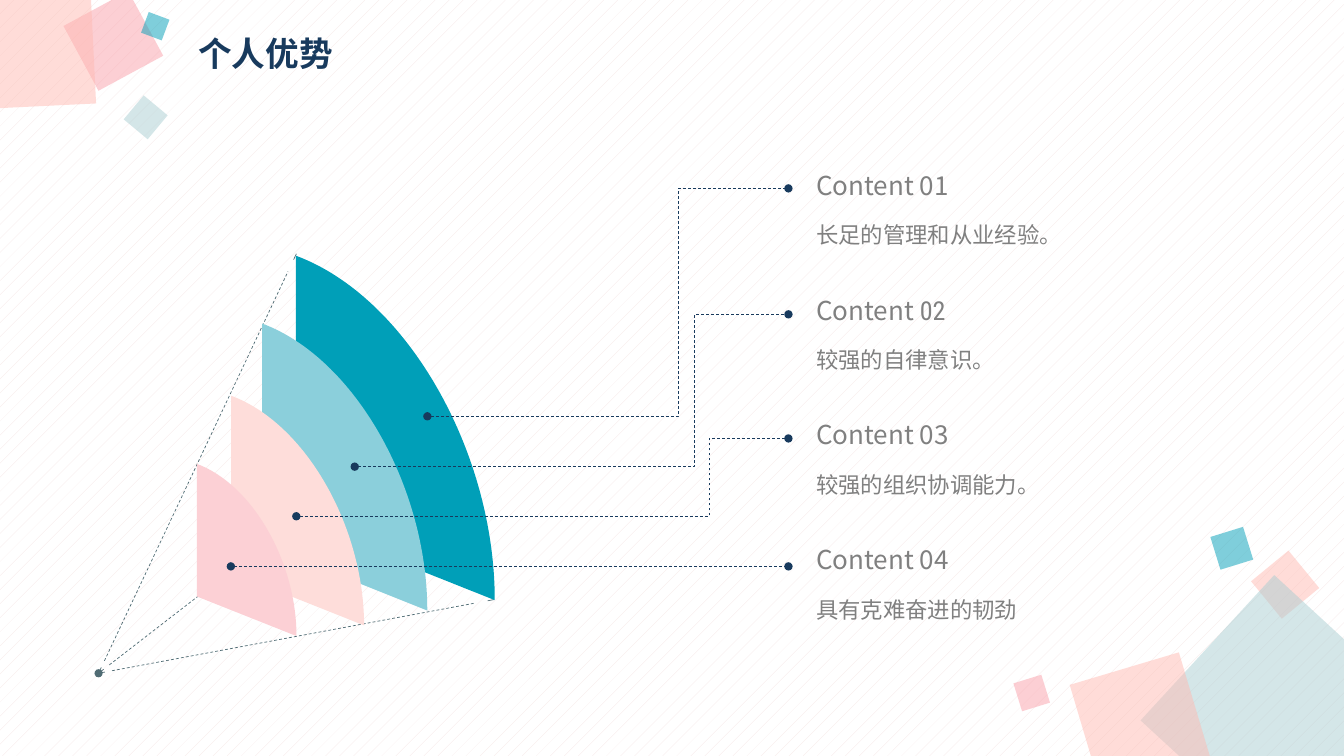
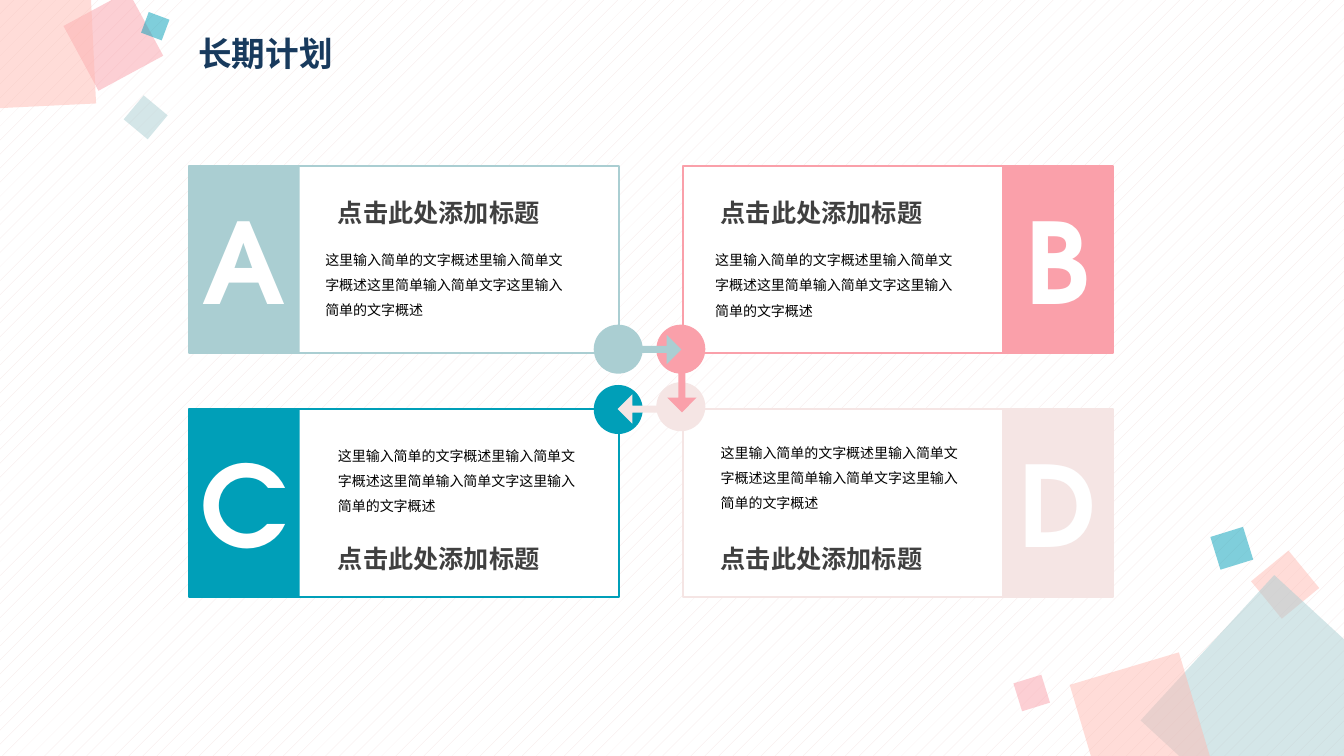
import math

import pptx
import pptx.dml.color
import pptx.enum.dml
import pptx.enum.shapes
import pptx.enum.text
import pptx.oxml.ns
import pptx.util
from lxml import etree

Pt = pptx.util.Pt
SHAPE = pptx.enum.shapes.MSO_SHAPE
CONNECTOR = pptx.enum.shapes.MSO_CONNECTOR
ALIGN = pptx.enum.text.PP_ALIGN
ANCHOR = pptx.enum.text.MSO_ANCHOR
qn = pptx.oxml.ns.qn

SANS = "Noto Sans CJK SC"
CONDENSED = "Roboto Condensed"
DISPLAY = "TeX Gyre Adventor"

WHITE, BLACK, GRAY, DARK_GRAY = "FFFFFF", "000000", "808080", "404040"
NAVY, SLATE = "183A5D", "506C74"
TEAL, MIST, PINK, PEACH, BLUSH = "009FB8", "AACED2", "FAA0AA", "FFBBB3", "F5E5E4"

# left, top, side, rotation, colour
CORNER_SQUARES = [
    (900.7, 400.3, 34.6, 320.6, PEACH),
    (843.8, 439.9, 141.1, 42.6, MIST),
    (774, 475.9, 81.4, 343.4, PEACH),
    (726.5, 484.6, 20.9, 342.8, PINK),
    (867.6, 379.4, 24.5, 342.8, TEAL),
    (54.7, 2.9, 52.6, 331.6, PINK),
    (-33.1, -23, 99.4, 357.2, PEACH),
    (92.9, 72.7, 22.3, 309.8, MIST),
    (103, 10.8, 15.8, 290.5, TEAL),
]


def color(value):
    return pptx.dml.color.RGBColor.from_string(value)


def paint(shape, fill, line=None):
    shape.shadow.inherit = False
    shape.fill.solid()
    shape.fill.fore_color.rgb = color(fill)
    if line:
        shape.line.color.rgb = color(line)
        shape.line.width = Pt(1.5)
    else:
        shape.line.fill.background()
    return shape


def add_shape(slide, kind, box, fill, line=None):
    return paint(slide.shapes.add_shape(kind, *map(Pt, box)), fill, line)


def style_run(run, size, ink, font=SANS, bold=False):
    run.font.size = Pt(size)
    run.font.bold = bold
    run.font.color.rgb = color(ink)
    run.font.name = font
    east_asian = etree.Element(qn("a:ea"), typeface=SANS)
    run.font._element.find(qn("a:latin")).addnext(east_asian)


def add_text(slide, box, text, size, ink, font=SANS, bold=False,
             spacing=1.0, anchor=ANCHOR.TOP):
    frame = slide.shapes.add_textbox(*map(Pt, box)).text_frame
    frame.word_wrap = True
    frame.vertical_anchor = anchor
    paragraph = frame.paragraphs[0]
    paragraph.text = text
    paragraph.line_spacing = spacing
    style_run(paragraph.runs[0], size, ink, font, bold)
    return paragraph


def add_line(slide, start, end, ink, dashed, kind=CONNECTOR.STRAIGHT):
    line = slide.shapes.add_connector(kind, *map(Pt, (*start, *end)))
    line.line.color.rgb = color(ink)
    line.line.width = Pt(0.5)
    if dashed:
        line.line.dash_style = pptx.enum.dml.MSO_LINE.DASH
    etree.SubElement(line._element.spPr, qn("a:effectLst"))
    return line


def add_base_slide(presentation, title):
    """Add a slide with the shared background, corner squares and title."""
    slide = presentation.slides.add_slide(presentation.slide_layouts[6])
    background = slide.background.fill
    background.patterned()
    background.pattern = pptx.enum.dml.MSO_PATTERN.PERCENT_5
    background.fore_color.rgb = color(BLUSH)
    background.back_color.rgb = color(WHITE)
    for left, top, side, rotation, fill in CORNER_SQUARES:
        square = add_shape(slide, SHAPE.RECTANGLE, (left, top, side, side), fill)
        square.rotation = rotation
        fill_color = square._element.spPr.find(".//" + qn("a:srgbClr"))
        etree.SubElement(fill_color, qn("a:alpha"), val="50000")
    add_text(slide, (134.6, 18.7, 441.4, 41.8), title, 24, NAVY, bold=True,
             spacing=0.9, anchor=ANCHOR.MIDDLE)
    return slide


def add_guide(slide, start, end):
    """Draw a dashed line with a short solid tick at each end."""
    length = math.dist(start, end)

    def point(distance):
        return [a + (b - a) * distance / length for a, b in zip(start, end)]

    for first, last, dashed in ((length - 4.6, length, False),
                                (9.8, length - 14, True),
                                (0, 4.6, False)):
        add_line(slide, point(first), point(last), SLATE, dashed)


def add_blade(slide, box, fill):
    """Draw a fan blade: straight left edge and base, curved outer edge."""
    left, top, width, height = box
    tip, corner, peak = (1, 1), (0, 0.77), (0, 0)
    outline = [tip, corner, peak, (0.56, 0.12), (1, 0.57), tip]
    points = [(Pt(left + x * width), Pt(top + y * height)) for x, y in outline]
    builder = slide.shapes.build_freeform(*points[0])
    builder.add_line_segments(points[1:], close=False)
    blade = paint(builder.convert_to_shape(), fill)
    edges = list(blade._element.spPr.iter(qn("a:lnTo")))[-3:]
    curve = etree.SubElement(edges[0].getparent(), qn("a:cubicBezTo"))
    for edge in edges:
        curve.append(edge[0])
        edge.getparent().remove(edge)


def add_fan(slide, apex):
    x, y = apex
    for dx, dy in ((282.4, -52.6), (141.3, -299.6), (140.6, -108.8)):
        add_guide(slide, apex, (x + dx, y + dy))
    for dx, dy, width, height, fill in (
            (141, -298.2, 142, 246, TEAL),
            (116.8, -249.8, 118, 205, "8BCFDB"),
            (94.7, -198.2, 95, 164, "FEDDDA"),
            (70.2, -149.6, 71.2, 123, "FCD0D5")):
        add_blade(slide, (x + dx, y + dy, width, height), fill)
    add_shape(slide, SHAPE.OVAL, (x - 2.9, y - 2.9, 5.8, 5.8), SLATE)


def add_leader(slide, start, end, bend):
    """Join a blade to its entry; bend is the percentage of the width before the turn."""
    leader = add_line(slide, start, end, NAVY, True, CONNECTOR.ELBOW)
    geometry = leader._element.spPr.find(qn("a:prstGeom"))
    guides = geometry.find(qn("a:avLst"))
    if guides is None:
        guides = etree.SubElement(geometry, qn("a:avLst"))
    etree.SubElement(guides, qn("a:gd"), name="adj1", fmla=f"val {round(bend * 1000)}")
    outline = leader._element.spPr.find(qn("a:ln"))
    for end_name in ("a:headEnd", "a:tailEnd"):
        etree.SubElement(outline, qn(end_name), type="oval")


def add_entry(slide, left, top, number, number_font, text, text_font):
    if number_font == SANS:
        add_text(slide, (left, top, 283.7, 31.7), "Content " + number, 18.6, GRAY)
    else:
        heading = add_text(slide, (left, top, 283.7, 31.7), "Content ", 18.6, GRAY)
        run = heading.add_run()
        run.text = number
        style_run(run, 18.6, GRAY, number_font)
    add_text(slide, (left, top + 27.7, 315.4, 32.4), text, 16, GRAY,
             text_font, spacing=1.5)


def build_strengths(presentation):
    slide = add_base_slide(presentation, "个人优势")
    add_fan(slide, (70.4, 480.9))
    entries = [
        ((305.3, 297.4), 134.6, 69.6, "01", SANS, "长足的管理和从业经验。", SANS),
        ((253.4, 333.4), 224.6, 78.4, "02", CONDENSED, "较强的自律意识。", CONDENSED),
        ((211.7, 368.8), 313.2, 83.9, "03", SANS, "较强的组织协调能力。", SANS),
        ((164.9, 404.6), 404.6, 50, "04", SANS, "具有克难奋进的韧劲", SANS),
    ]
    for index, (start, level, bend, *words) in enumerate(entries):
        add_leader(slide, start, (563.2, level), bend)
        add_entry(slide, 576, 117.3 + 89.2 * index, *words)


def add_card(slide, left, top, letter, fill, on_right, title_top, body_offset, circle_top):
    """Draw a framed card with its letter band on the outer side."""
    width, height, band_width, circle = 307, 133.9, 79.2, 35
    add_shape(slide, SHAPE.RECTANGLE, (left, top, width, height), WHITE, fill)
    band_left = left + width - band_width if on_right else left
    band = add_shape(slide, SHAPE.RECTANGLE, (band_left, top, band_width, height), fill)
    frame = band.text_frame
    frame.word_wrap = False
    frame.vertical_anchor = ANCHOR.MIDDLE
    paragraph = frame.paragraphs[0]
    paragraph.text = letter
    paragraph.alignment = ALIGN.CENTER
    style_run(paragraph.runs[0], 80, WHITE, DISPLAY, True)

    title_left = left + (19.7 if on_right else 99.4)
    add_text(slide, (title_left, top + title_top, 187.2, 35.3), "点击此处添加标题",
             18, DARK_GRAY, DISPLAY, True, 1.3)
    body_dx, body_dy = body_offset
    add_text(slide, (left + body_dx, top + body_dy, 187.2, 61.9),
             "这里输入简单的文字概述里输入简单文字概述这里简单输入简单文字这里输入简单的文字概述",
             10, BLACK, spacing=1.5)
    circle_left = left - 19.2 if on_right else left + 289.2
    add_shape(slide, SHAPE.OVAL, (circle_left, top + circle_top, circle, circle), fill)


def build_plan(presentation):
    slide = add_base_slide(presentation, "长期计划")
    left, right, upper, lower = 134.9, 488, 118.3, 292.4
    add_card(slide, left, upper, "A", MIST, False, 12.8, (90.4, 51.7), 113.6)
    add_card(slide, right, upper, "B", PINK, True, 12.8, (15.8, 51.9), 113.6)
    add_card(slide, left, lower, "C", TEAL, False, 85.6, (99.4, 17.6), -17.4)
    add_card(slide, right, lower, "D", BLUSH, True, 85.6, (19.7, 15.3), -19.4)
    for x, y, rotation, fill in ((452.9, 239.2, 0, MIST),
                                 (470.2, 267.2, 90, PINK),
                                 (441.2, 281.7, 180, BLUSH)):
        arrow = add_shape(slide, SHAPE.RIGHT_ARROW, (x, y, 33.8, 20.9), fill)
        arrow.adjustments[0] = 0.24
        arrow.adjustments[1] = 0.5
        arrow.rotation = rotation


def main():
    presentation = pptx.Presentation()
    presentation.slide_width = Pt(960)
    presentation.slide_height = Pt(540)
    build_strengths(presentation)
    build_plan(presentation)
    presentation.save("out.pptx")


if __name__ == "__main__":
    main()
